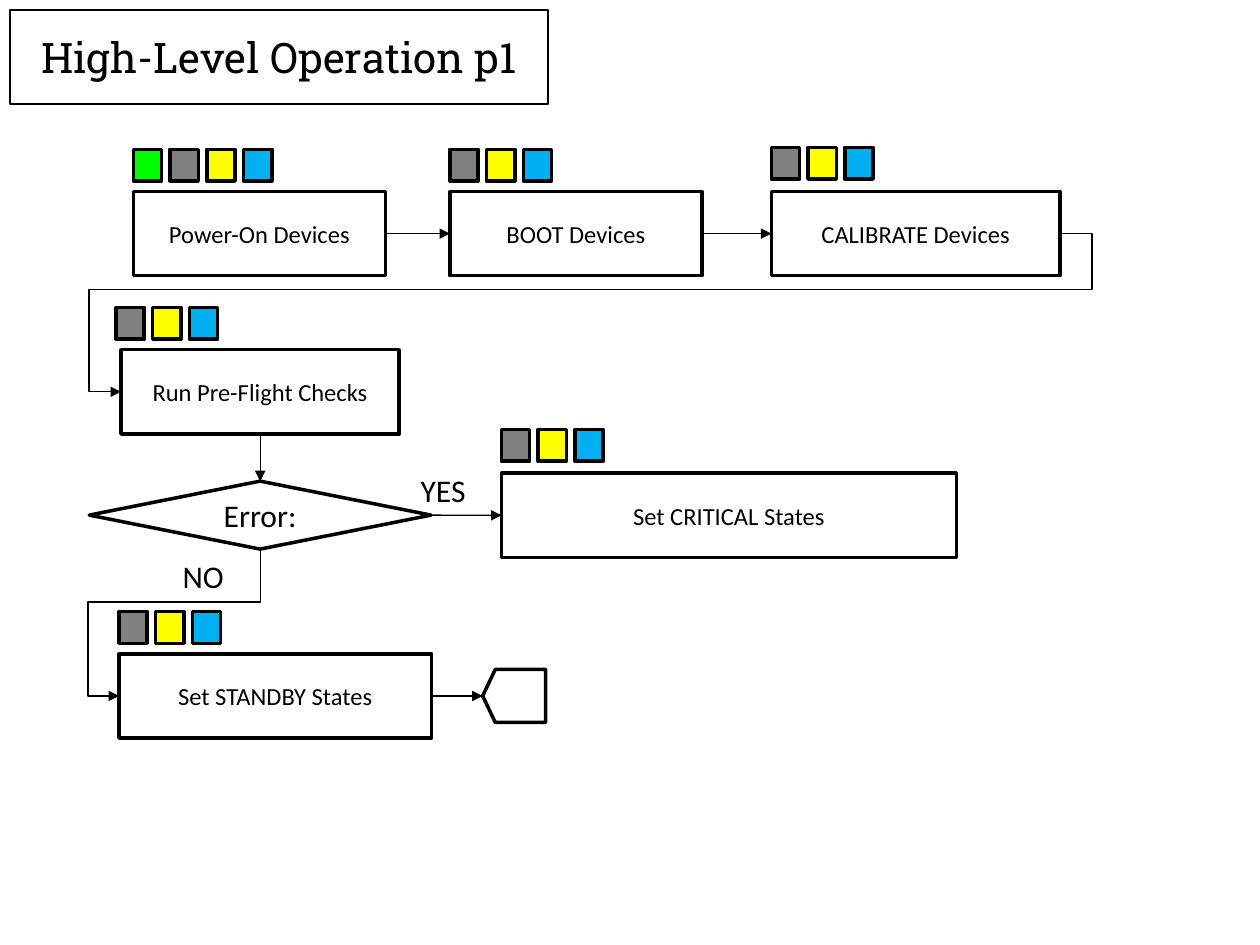
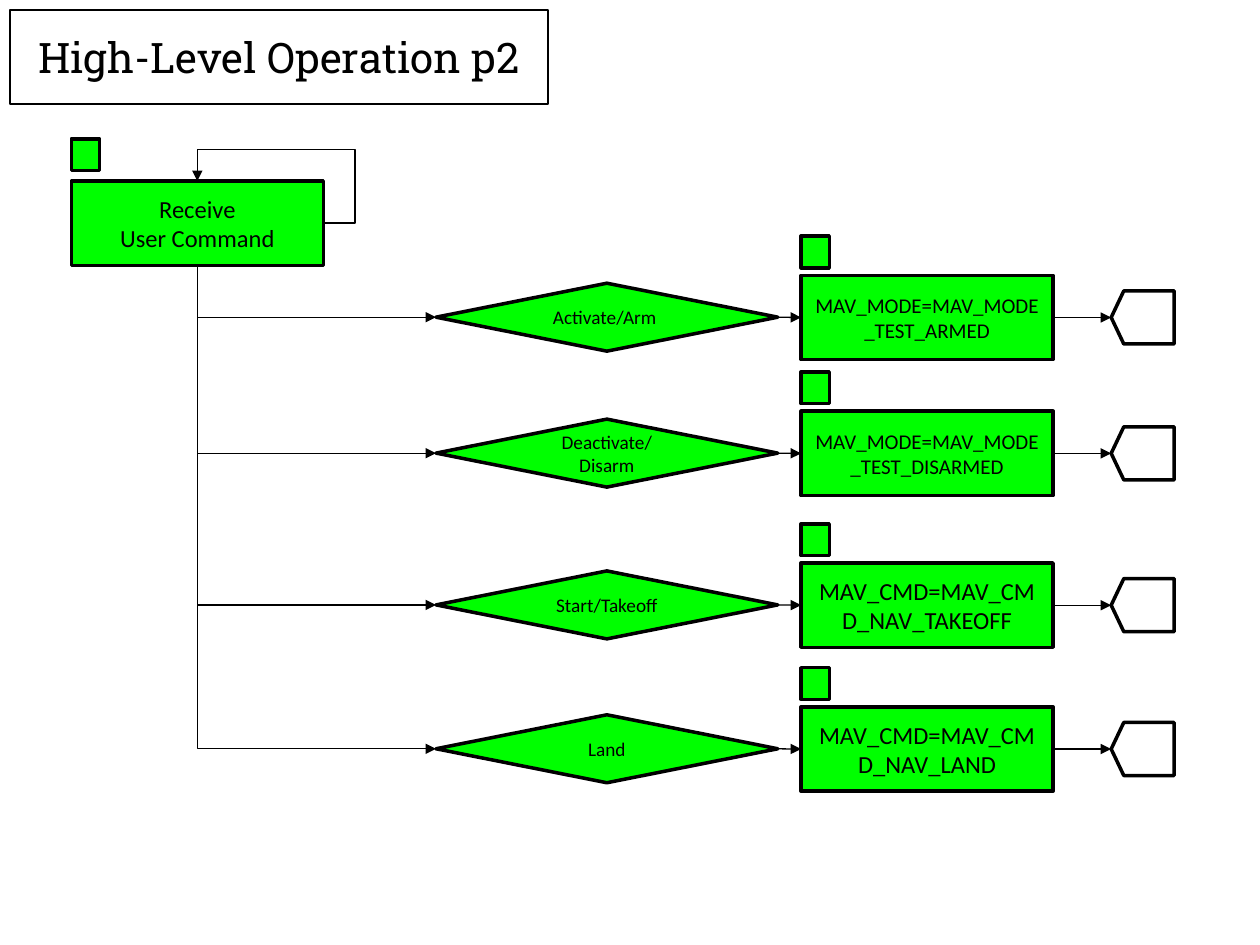
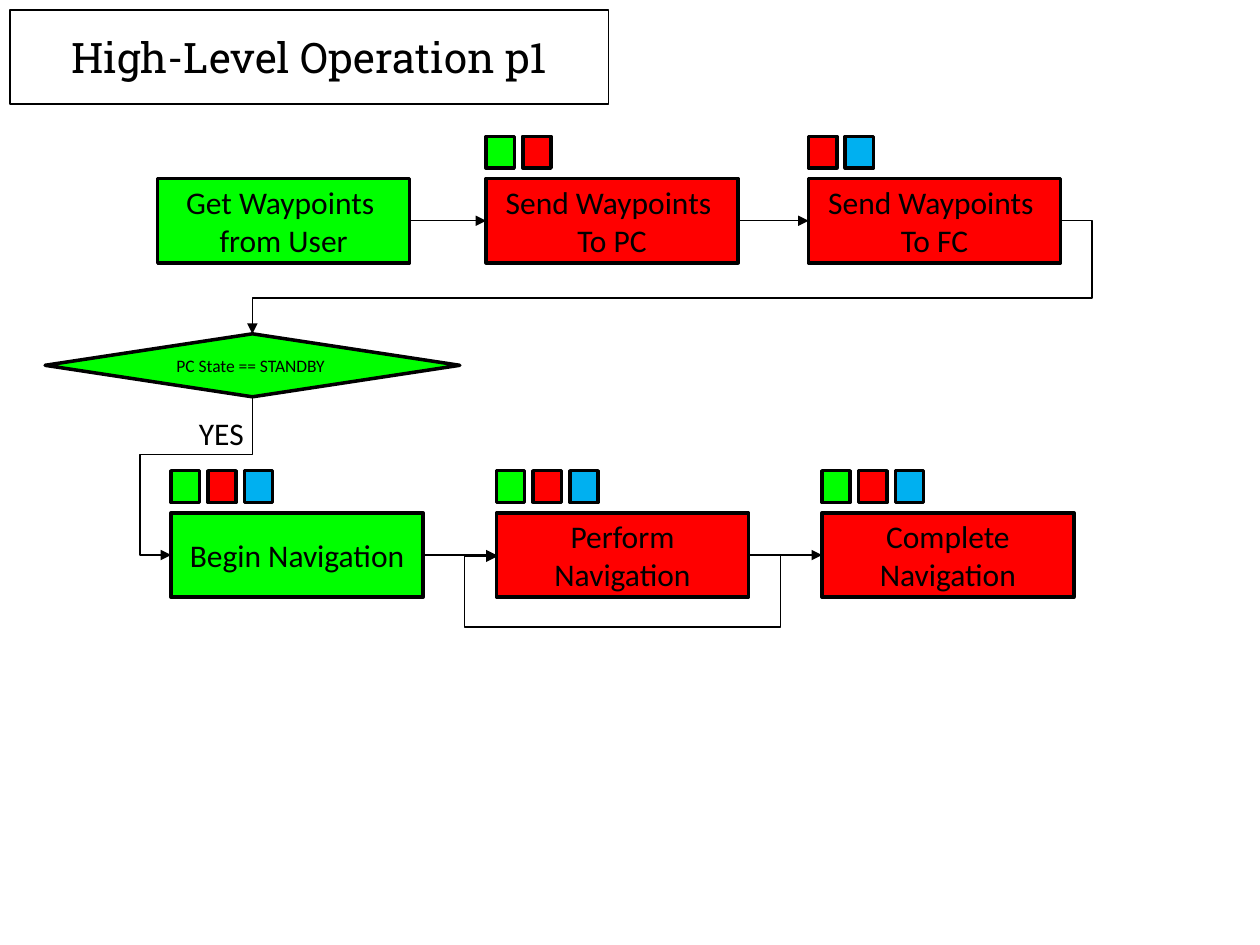
from dataclasses import dataclass

from pptx import Presentation
from pptx import util as u
from pptx.dml import color
from pptx.enum import shapes, text
from pptx.oxml import ns, xmlchemy

TOP, LEFT, BOTTOM, RIGHT = range(4)


@dataclass(frozen=True)
class Theme:
    black: str = "000000"
    white: str = "FFFFFF"
    green: str = "00FF00"
    gray: str = "808080"
    yellow: str = "FFFF00"
    blue: str = "00B0F0"
    red: str = "FF0000"
    title_font: str = "Roboto Slab"
    body_font: str = "Calibri"
    title_size: int = 24
    large: int = 18
    medium: int = 14
    code: int = 12
    small: int = 11
    tiny: int = 10
    border: float = 2
    thin: float = 0.75


THEME = Theme()
DEVICES = (THEME.gray, THEME.yellow, THEME.blue)


def write_text(frame, content, size, font=THEME.body_font, align=text.PP_ALIGN.CENTER,
               anchor=text.MSO_ANCHOR.MIDDLE, wrap=True, fit=text.MSO_AUTO_SIZE.NONE):
    frame.text = content
    frame.word_wrap = wrap
    frame.auto_size = fit
    frame.vertical_anchor = anchor
    for para in frame.paragraphs:
        para.alignment = align
        for span in para.runs:
            span.font.size = u.Pt(size)
            span.font.name = font
            span.font.color.rgb = color.RGBColor.from_string(THEME.black)


def append_element(parent, tag, **attributes):
    child = xmlchemy.OxmlElement(tag)
    for name, value in attributes.items():
        child.set(name, value)
    parent.append(child)
    return child


def site_point(shape, site):
    width, height = shape.width, shape.height
    center_x, center_y = shape.left + width // 2, shape.top + height // 2
    if shape.rotation == 90:
        width, height = height, width
        site = (site - 1) % 4
    shift_x, shift_y = ((0, -1), (-1, 0), (0, 1), (1, 0))[site]
    return center_x + shift_x * width // 2, center_y + shift_y * height // 2


class Flowchart:
    step_height = 1.7
    step_width = 5.08

    def __init__(self, theme):
        self.theme = theme
        self.deck = Presentation()
        self.deck.slide_width = u.Cm(25.4)
        self.deck.slide_height = u.Cm(19.05)
        self.page = None

    def outline(self, shape, width):
        shape.line.color.rgb = color.RGBColor.from_string(self.theme.black)
        shape.line.width = u.Pt(width)

    def start_page(self, title, width=10.85):
        self.page = self.deck.slides.add_slide(self.deck.slide_layouts[5])
        box = self.page.shapes.title
        box.left, box.top = u.Cm(0.2), u.Cm(0.2)
        box.width, box.height = u.Cm(width), u.Cm(1.9)
        self.outline(box, self.theme.thin)
        write_text(box.text_frame, title, self.theme.title_size, font=self.theme.title_font)

    def shape(self, kind, left, top, width, height, fill=None):
        box = self.page.shapes.add_shape(kind, u.Cm(left), u.Cm(top), u.Cm(width), u.Cm(height))
        box.shadow.inherit = False
        if fill:
            box.fill.solid()
            box.fill.fore_color.rgb = color.RGBColor.from_string(fill)
        else:
            box.fill.background()
        self.outline(box, self.theme.border)
        return box

    def step(self, content, left, top, width=step_width, size=THEME.medium, fill=None,
             tags=(), rise=0.85, shift=0):
        box = self.shape(shapes.MSO_SHAPE.RECTANGLE, left, top, width, self.step_height, fill)
        write_text(box.text_frame, content, size)
        for index, tag in enumerate(tags):
            self.shape(shapes.MSO_SHAPE.RECTANGLE, left + shift + 0.74 * index, top - rise,
                       0.57, 0.64, tag)
        return box

    def decision(self, content, left, top, size, width=6.89, height=1.37, fill=None):
        box = self.shape(shapes.MSO_SHAPE.FLOWCHART_DECISION, left, top, width, height, fill)
        write_text(box.text_frame, content, size)
        return box

    def exit_from(self, step, gap):
        right, middle = site_point(step, RIGHT)
        width, height = 1.07, 1.27
        box = self.shape(shapes.MSO_SHAPE.FLOWCHART_OFFPAGE_CONNECTOR,
                         u.Emu(right).cm + gap + (height - width) / 2,
                         u.Emu(middle).cm - height / 2, width, height)
        box.rotation = 90
        self.link(step, box, end_site=BOTTOM)

    def label(self, content, left, top, width=1.42):
        box = self.page.shapes.add_textbox(u.Cm(left), u.Cm(top), u.Cm(width), u.Cm(1.02))
        write_text(box.text_frame, content, self.theme.large, align=text.PP_ALIGN.LEFT,
                   anchor=text.MSO_ANCHOR.TOP, wrap=False,
                   fit=text.MSO_AUTO_SIZE.SHAPE_TO_FIT_TEXT)

    def connect(self, kind, start, start_site, end, end_site):
        connector = self.page.shapes.add_connector(kind, 0, 0, 0, 0)
        connector.begin_connect(start, start_site)
        connector.end_connect(end, end_site)
        connector.begin_x, connector.begin_y = site_point(start, start_site)
        connector.end_x, connector.end_y = site_point(end, end_site)
        self.outline(connector, self.theme.thin)
        append_element(connector.line._get_or_add_ln(), "a:tailEnd", type="triangle")
        append_element(connector._element.spPr, "a:effectLst")
        return connector

    def link(self, start, end, start_site=RIGHT, end_site=LEFT):
        self.connect(shapes.MSO_CONNECTOR.STRAIGHT, start, start_site, end, end_site)

    def elbow(self, start, start_site, end, end_site, *lanes):
        connector = self.connect(shapes.MSO_CONNECTOR.ELBOW, start, start_site, end, end_site)
        if connector.begin_y == connector.end_y:
            connector.end_y += u.Pt(1)
        origin = connector.begin_x, connector.begin_y
        span = connector.end_x - origin[0], connector.end_y - origin[1]
        vertical = start_site == BOTTOM
        geometry = connector._element.spPr.find(ns.qn("a:prstGeom"))
        geometry.set("prst", f"bentConnector{len(lanes) + 2}")
        guides = geometry.find(ns.qn("a:avLst"))
        for index, lane in enumerate(lanes):
            axis = (index + vertical) % 2
            ratio = (u.Cm(lane) - origin[axis]) / span[axis]
            append_element(guides, "a:gd", name=f"adj{index + 1}",
                           fmla=f"val {round(ratio * 100000)}")
        if vertical:
            self.turn_down(connector, origin, span)

    def turn_down(self, connector, origin, span):
        width, height = abs(span[1]), abs(span[0])
        connector.left = origin[0] + (span[0] - width) // 2
        connector.top = origin[1] + (span[1] - height) // 2
        connector.width, connector.height = width, height
        frame = connector._element.spPr.find(ns.qn("a:xfrm"))
        rightward = span[0] > 0
        frame.set("rot", str((270 if rightward else 90) * 60000))
        frame.set("flipH", "1" if rightward else "0")
        frame.set("flipV", "0")


def build_startup(chart):
    chart.start_page("High-Level Operation p1")
    power = chart.step("Power-On Devices", 2.69, 3.86, fill=THEME.white,
                       tags=(THEME.green, *DEVICES))
    boot = chart.step("BOOT Devices", 9.07, 3.86, tags=DEVICES)
    calibrate = chart.step("CALIBRATE Devices", 15.55, 3.86, 5.82, tags=DEVICES, rise=0.89)
    checks = chart.step("Run Pre-Flight Checks", 2.44, 7.05, 5.61, tags=DEVICES, shift=-0.1)
    error = chart.decision("Error:", 1.8, 9.7, THEME.large)
    critical = chart.step("Set CRITICAL States", 10.11, 9.54, 9.17, tags=DEVICES, rise=0.88)
    standby = chart.step("Set STANDBY States", 2.4, 13.18, 6.3, tags=DEVICES)
    chart.label("YES", 8.23, 9.37)
    chart.label("NO", 3.43, 11.1, 1.35)
    chart.link(power, boot)
    chart.link(boot, calibrate)
    chart.elbow(calibrate, RIGHT, checks, LEFT, 22.02, 5.84, 1.8)
    chart.link(checks, error, BOTTOM, TOP)
    chart.link(error, critical)
    chart.elbow(error, BOTTOM, standby, LEFT, 12.14, 1.77)
    chart.exit_from(standby, 1.03)


def build_commands(chart):
    commands = (
        (6.4, "Activate/Arm ", "MAV_MODE=MAV_MODE_TEST_ARMED", THEME.code),
        (9.14, "Deactivate/\nDisarm", "MAV_MODE=MAV_MODE_TEST_DISARMED", THEME.code),
        (12.2, "Start/Takeoff", "MAV_CMD=MAV_CMD_NAV_TAKEOFF", THEME.medium),
        (15.1, "Land", "MAV_CMD=MAV_CMD_NAV_LAND", THEME.medium),
    )
    chart.start_page("High-Level Operation p2")
    green = THEME.green
    receive = chart.step("Receive\nUser Command", 1.44, 3.65, fill=green, tags=(green,))
    chart.elbow(receive, RIGHT, receive, TOP, 7.16, 3.02)
    for middle, command, message, size in commands:
        choice = chart.decision(command, 8.79, middle - 0.69, THEME.small, fill=green)
        action = chart.step(message, 16.15, middle - chart.step_height / 2, size=size,
                            fill=green, tags=(green,), rise=0.79)
        chart.elbow(receive, BOTTOM, choice, LEFT)
        chart.link(choice, action)
        chart.exit_from(action, 1.17)


def build_navigation(chart):
    chart.start_page("High-Level Operation p1", 12.07)
    green, red, blue = THEME.green, THEME.red, THEME.blue
    waypoints = [
        chart.step(content, left, 3.6, size=THEME.large, fill=fill, tags=tags)
        for content, left, fill, tags in (
            ("Get Waypoints \vfrom User", 3.18, green, ()),
            ("Send Waypoints \nTo PC", 9.8, red, (green, red)),
            ("Send Waypoints \nTo FC", 16.3, red, (red, blue)),
        )
    ]
    ready = chart.decision("PC State == STANDBY ", 0.91, 6.73, THEME.tiny, 8.36, 1.27, green)
    phases = [
        chart.step(content, 3.45 + 6.56 * index, 10.34, size=THEME.large, fill=fill,
                   tags=(green, red, blue))
        for index, (content, fill) in enumerate((
            ("Begin Navigation", green),
            ("Perform\nNavigation", red),
            ("Complete\nNavigation", red),
        ))
    ]
    chart.label("YES", 3.76, 8.23)
    for row in (waypoints, phases):
        for start, end in zip(row, row[1:]):
            chart.link(start, end)
    chart.elbow(waypoints[-1], RIGHT, ready, TOP, 22.02, 6.01)
    chart.elbow(ready, BOTTOM, phases[0], LEFT, 9.17, 2.82)
    chart.elbow(phases[1], RIGHT, phases[1], LEFT, 15.73, 12.65, 9.37)


def main():
    chart = Flowchart(THEME)
    build_startup(chart)
    build_commands(chart)
    build_navigation(chart)
    chart.deck.save("out.pptx")


if __name__ == "__main__":
    main()
